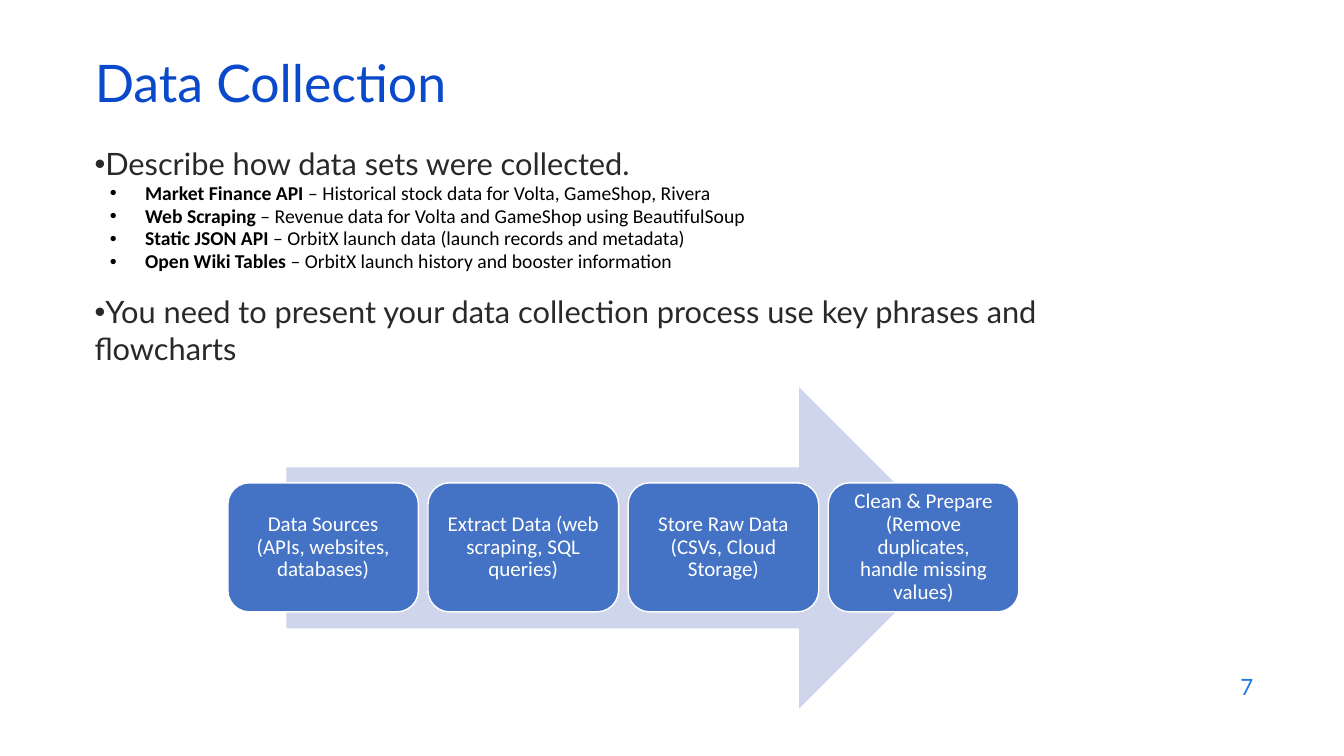
"""Build the Data Collection slide with its bullet list and process arrow."""
from dataclasses import dataclass

from lxml import etree
from pptx import Presentation
from pptx.dml.color import RGBColor
from pptx.enum.shapes import MSO_SHAPE
from pptx.enum.text import MSO_ANCHOR, MSO_AUTO_SIZE, PP_ALIGN
from pptx.oxml.ns import qn
from pptx.util import Inches, Pt

RIGHT_ARROW = MSO_SHAPE.RIGHT_ARROW
ROUNDED = MSO_SHAPE.ROUNDED_RECTANGLE
MIDDLE = MSO_ANCHOR.MIDDLE
NO_FIT = MSO_AUTO_SIZE.NONE
LEFT, CENTER, RIGHT = PP_ALIGN.LEFT, PP_ALIGN.CENTER, PP_ALIGN.RIGHT

COLORS = {
    "title": "0B49CB",
    "body": "292929",
    "detail": "000000",
    "page": "1C7DDB",
    "arrow": "CFD5EA",
    "step": "4472C4",
    "white": "FFFFFF",
}


@dataclass(frozen=True)
class TextStyle:
    font: str
    size: float
    color: str
    bold: bool = False


@dataclass(frozen=True)
class Bullet:
    spans: tuple[tuple[str, TextStyle], ...]
    level: int = 0
    margin: float = 0
    indent: float = 0
    line_spacing: float = 1
    space_before: float = 0


TITLE = TextStyle("Lato", 37, "title")
BODY = TextStyle("Lato", 22, "body")
SOURCE = TextStyle("Calibri", 14, "detail", True)
DETAIL = TextStyle("Calibri", 14, "detail")
STEP = TextStyle("Calibri", 15, "white")
PAGE = TextStyle("Lato", 16, "page")

SOURCES = (
    ("Market Finance API", " – Historical stock data for Volta, GameShop, Rivera"),
    ("Web Scraping", " – Revenue data for Volta and GameShop using BeautifulSoup"),
    ("Static JSON API", " – OrbitX launch data (launch records and metadata)"),
    ("Open Wiki Tables", " – OrbitX launch history and booster information"),
)
BULLETS = (
    Bullet((("Describe how data sets were collected.", BODY),)),
    *(
        Bullet(((name, SOURCE), (detail, DETAIL)), 1, 0.5, -0.35, 0.97)
        for name, detail in SOURCES
    ),
    Bullet(
        (("You need to present your data collection process use key phrases "
          "and flowcharts", BODY),),
        space_before=14,
    ),
)
STEPS = (
    "Data Sources (APIs, websites, databases)",
    "Extract Data (web scraping, SQL queries)",
    "Store Raw Data (CSVs, Cloud Storage)",
    "Clean & Prepare (Remove duplicates, handle missing values)",
)
STEP_LEFT, STEP_PITCH = 2.26, 1.985


def rgb(name: str) -> RGBColor:
    """Return the named colour."""
    return RGBColor.from_string(COLORS[name])


def add_span(para, text: str, style: TextStyle) -> None:
    """Append one formatted run to a paragraph."""
    span = para.add_run()
    span.text = text
    span.font.name = style.font
    span.font.size = Pt(style.size)
    span.font.bold = style.bold
    span.font.color.rgb = rgb(style.color)


def place(box, left: float, top: float, width: float, height: float) -> None:
    """Set the position and size of a box in inches."""
    box.left, box.top = Inches(left), Inches(top)
    box.width, box.height = Inches(width), Inches(height)


def fill_line(box, text: str, style: TextStyle, align, spacing: float = 1) -> None:
    """Write one vertically centred paragraph into a box."""
    frame = box.text_frame
    frame.word_wrap = True
    frame.auto_size = NO_FIT
    frame.vertical_anchor = MIDDLE
    para = frame.paragraphs[0]
    para.alignment = align
    para.line_spacing = spacing
    add_span(para, text, style)


def add_bullets(slide, bullets: tuple[Bullet, ...]) -> None:
    """Add the two-level bullet list."""
    frame = slide.shapes.add_textbox(
        Inches(0.84), Inches(1.39), Inches(10.68), Inches(2.4)
    ).text_frame
    frame.word_wrap = True
    for index, bullet in enumerate(bullets):
        para = frame.add_paragraph() if index else frame.paragraphs[0]
        para.level = bullet.level
        para.line_spacing = bullet.line_spacing
        para.space_before = Pt(bullet.space_before)
        properties = para._p.get_or_add_pPr()
        properties.set("marL", str(Inches(bullet.margin)))
        properties.set("indent", str(Inches(bullet.indent)))
        font = etree.SubElement(properties, qn("a:buFont"))
        font.set("typeface", "Arial")
        etree.SubElement(properties, qn("a:buChar")).set("char", "•")
        for text, style in bullet.spans:
            add_span(para, text, style)


def add_solid(slide, preset, left: float, top: float, width: float,
              height: float, color: str):
    """Add a flat preset shape without an outline."""
    box = slide.shapes.add_shape(
        preset, Inches(left), Inches(top), Inches(width), Inches(height)
    )
    box.shadow.inherit = False
    box.fill.solid()
    box.fill.fore_color.rgb = rgb(color)
    box.line.fill.background()
    return box


def add_step(slide, index: int, text: str) -> None:
    """Add one process step on the arrow."""
    box = add_solid(
        slide, ROUNDED, STEP_LEFT + index * STEP_PITCH, 4.79, 1.89, 1.28, "step"
    )
    box.line.color.rgb = rgb("white")
    box.line.width = Pt(1)
    frame = box.text_frame
    frame.margin_left = frame.margin_right = Inches(0.12)
    frame.margin_top = frame.margin_bottom = Inches(0.12)
    fill_line(box, text, STEP, CENTER, 0.9)


def main() -> None:
    """Build and save the deck."""
    deck = Presentation()
    deck.slide_width, deck.slide_height = Inches(13.33), Inches(7.5)
    slide = deck.slides.add_slide(deck.slide_layouts[5])
    title = slide.shapes.title
    place(title, 0.84, 0.59, 11.5, 0.6)
    fill_line(title, "Data Collection", TITLE, LEFT, 0.7)
    add_bullets(slide, BULLETS)
    add_solid(slide, RIGHT_ARROW, 2.84, 3.84, 6.68, 3.19, "arrow")
    for index, text in enumerate(STEPS):
        add_step(slide, index, text)
    page = slide.shapes.add_textbox(
        Inches(9.53), Inches(6.59), Inches(3), Inches(0.44)
    )
    fill_line(page, "7", PAGE, RIGHT)
    deck.save("out.pptx")


if __name__ == "__main__":
    main()
